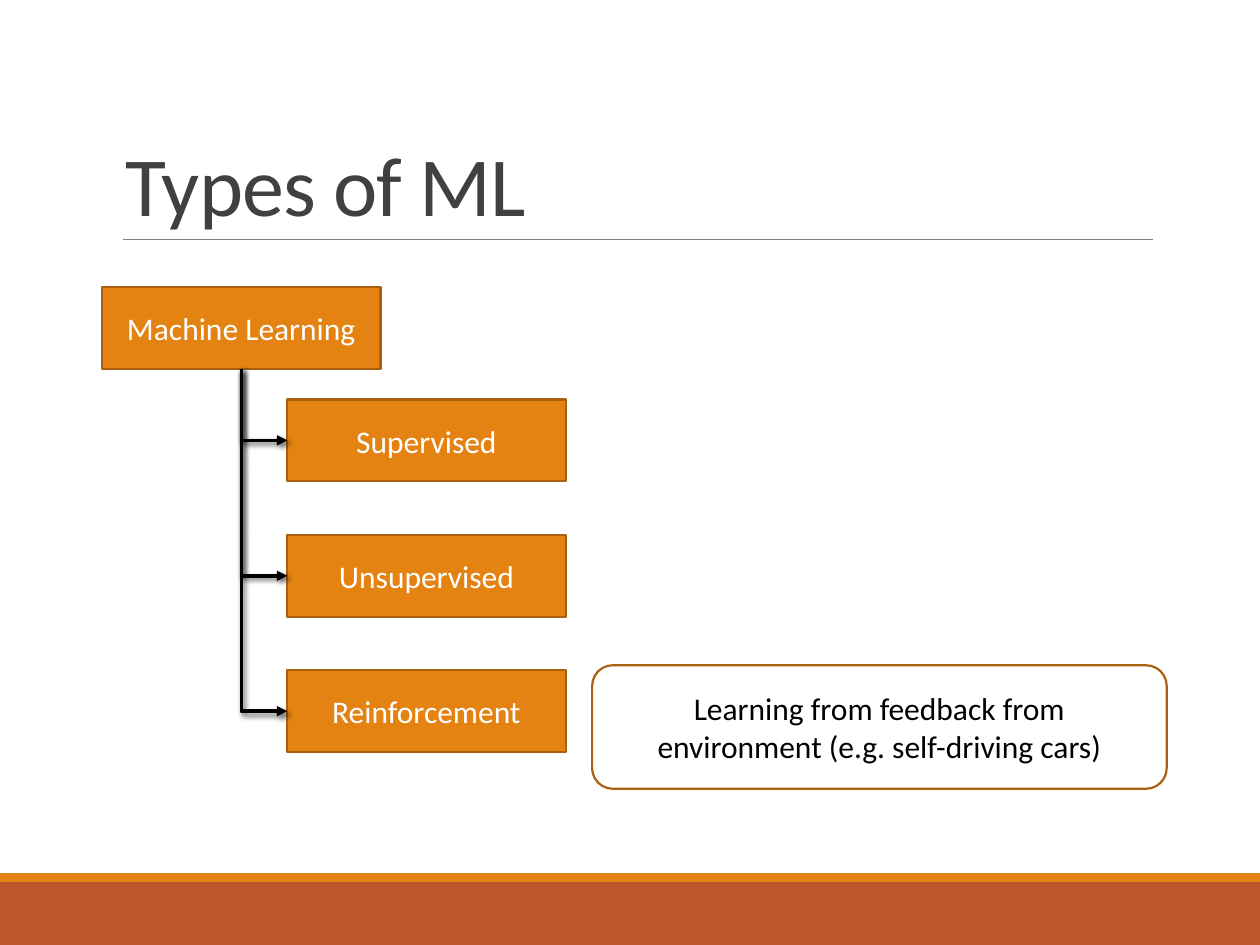
"""Build the slide on the types of machine learning."""
from lxml.etree import SubElement
from pptx import Presentation
from pptx.dml.color import RGBColor
from pptx.enum.shapes import MSO_CONNECTOR as CONN, MSO_SHAPE as SHAPE
from pptx.enum.text import MSO_ANCHOR as ANCHOR, PP_ALIGN as ALIGN
from pptx.oxml import parse_xml
from pptx.oxml.ns import nsdecls, qn
from pptx.util import Inches, Pt

ORANGE = RGBColor(0xE4, 0x83, 0x12)
RUST = RGBColor(0xBD, 0x58, 0x2C)
BROWN = RGBColor(0xA9, 0x61, 0x0D)
GRAY = RGBColor(0x80, 0x80, 0x80)
DARK = RGBColor(0x40, 0x40, 0x40)
BLACK = RGBColor(0, 0, 0)
WHITE = RGBColor(0xFF, 0xFF, 0xFF)
FONT = "Calibri"

TITLE = "Types of ML"
ROOT = "Machine Learning"
TYPES = ["Supervised", "Unsupervised", "Reinforcement"]
NOTE = "Learning from feedback from environment (e.g. self-driving cars)"
BANDS = [(7, 0.5, RUST), (6.93, 0.07, ORANGE)]

BOX_W, BOX_H = 2.21, 0.65
ROOT_X, ROOT_Y = 0.81, 2.28
TYPE_X, TYPE_Y, TYPE_STEP = 2.28, 3.17, 1.075

SHADOW = (
    f'<a:effectLst {nsdecls("a")}><a:outerShdw blurRad="38100" dist="25400" '
    'dir="2700000" rotWithShape="0"><a:srgbClr val="000000">'
    '<a:alpha val="60000"/></a:srgbClr></a:outerShdw></a:effectLst>'
)


def style_text(p, size, color):
    for r in p.runs:
        r.font.name, r.font.size = FONT, Pt(size)
        r.font.color.rgb = color


def add_box(s, x, y, w, h, fill, kind=SHAPE.RECTANGLE, text=None, color=WHITE):
    sp = s.shapes.add_shape(kind, Inches(x), Inches(y), Inches(w), Inches(h))
    sp.shadow.inherit = False
    sp.fill.solid()
    sp.fill.fore_color.rgb = fill
    if text is None:
        sp.line.fill.background()
        return sp
    sp.line.color.rgb = BROWN
    sp.line.width = Pt(1.25)
    tf = sp.text_frame
    tf.word_wrap = True
    tf.vertical_anchor = ANCHOR.MIDDLE
    tf.text = text
    p = tf.paragraphs[0]
    p.alignment = ALIGN.CENTER
    style_text(p, 18, color)
    return sp


def add_title(s):
    sp = s.shapes.add_textbox(Inches(0.9), Inches(0.31), Inches(6.08), Inches(1.59))
    tf = sp.text_frame
    tf.word_wrap = True
    tf.vertical_anchor = ANCHOR.BOTTOM
    tf.text = TITLE
    p = tf.paragraphs[0]
    p.line_spacing = 0.85
    style_text(p, 48, DARK)
    p.runs[0].font._element.set("spc", "-50")


def add_branch(s, root, child):
    x1, y1 = root.left + root.width // 2, root.top + root.height
    x2, y2 = child.left, child.top + child.height // 2
    c = s.shapes.add_connector(CONN.ELBOW, x1, y1, x2, y2)
    c.begin_connect(root, 2)
    c.end_connect(child, 1)
    run, drop = x2 - x1, y2 - y1
    c.left, c.top = (x1 + x2 - drop) // 2, (y1 + y2 - run) // 2
    c.width, c.height = drop, run
    spPr = c._element.spPr
    xfrm = spPr.find(qn("a:xfrm"))
    xfrm.set("rot", "16200000")
    xfrm.set("flipH", "1")
    spPr.find(qn("a:prstGeom")).set("prst", "bentConnector2")
    c.line.color.rgb = BLACK
    c.line.width = Pt(2)
    SubElement(spPr.find(qn("a:ln")), qn("a:tailEnd"), type="triangle")
    spPr.append(parse_xml(SHADOW))


def main():
    prs = Presentation()
    prs.slide_width, prs.slide_height = Inches(10), Inches(7.5)
    s = prs.slides.add_slide(prs.slide_layouts[6])
    for y, h, color in BANDS:
        add_box(s, 0, y, 10, h, color)
    rule = s.shapes.add_connector(
        CONN.STRAIGHT, Inches(0.98), Inches(1.9), Inches(9.15), Inches(1.9))
    rule.line.color.rgb = GRAY
    rule.line.width = Pt(0.5)
    SubElement(rule._element.spPr, qn("a:effectLst"))
    add_title(s)
    root = add_box(s, ROOT_X, ROOT_Y, BOX_W, BOX_H, ORANGE, text=ROOT)
    children = [
        add_box(s, TYPE_X, TYPE_Y + i * TYPE_STEP, BOX_W, BOX_H, ORANGE, text=name)
        for i, name in enumerate(TYPES)
    ]
    for child in children:
        add_branch(s, root, child)
    add_box(s, 4.7, 5.28, 4.56, 0.98, WHITE, SHAPE.ROUNDED_RECTANGLE, NOTE, BLACK)
    prs.save("out.pptx")


if __name__ == "__main__":
    main()
